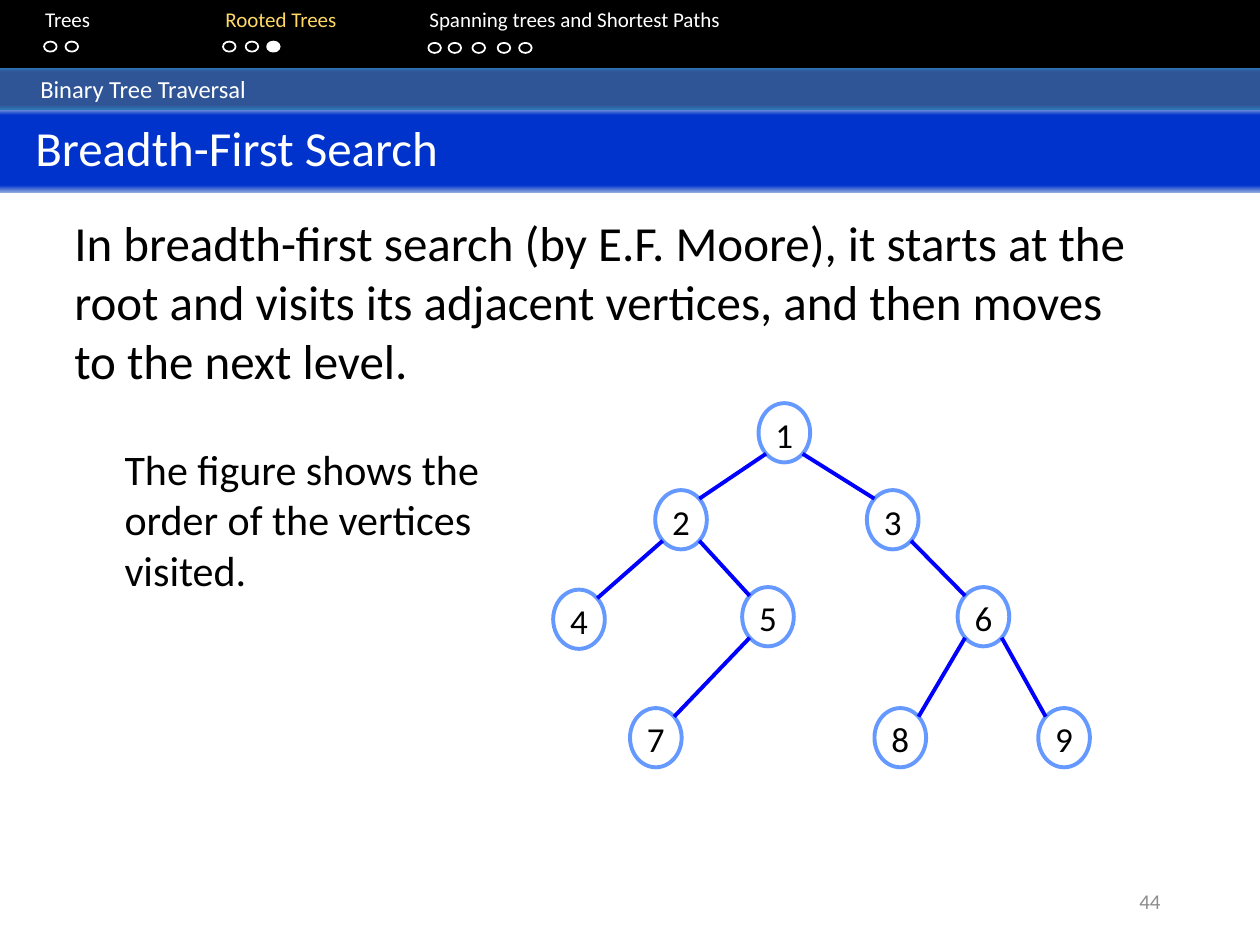
from lxml.etree import SubElement
from pptx import Presentation
from pptx.dml.color import RGBColor
from pptx.enum.shapes import MSO_CONNECTOR as Connector, MSO_SHAPE as Shape
from pptx.enum.text import MSO_ANCHOR as Anchor, MSO_AUTO_SIZE as AutoSize, PP_ALIGN as Align
from pptx.oxml.ns import qn
from pptx.util import Inches, Pt

WIDTH, HEIGHT = 10, 7.5
WHITE, BLACK, GOLD, GREY = "FFFFFF", "000000", "FFD966", "8C8C8C"
EDGE, RING = "0000FF", "6699FF"
STRIP_STOPS = [(0, "2E75B6"), (11, "2F5597"), (91, "2F5597"), (100, "2E75B6")]
TITLE_STOPS = [(0, "8FAADC"), (9, "0033CC"), (92, "0033CC"), (100, "8FAADC")]

# name, text tab, dot row top, dot lefts, index of the filled dot
SECTIONS = [
    ("Trees", 0.26, 0.33, [0.35, 0.52], None),
    ("Rooted Trees", 1.69, 0.33, [1.77, 1.95, 2.12], 2),
    ("Spanning trees and Shortest Paths", 3.31, 0.34, [3.4, 3.56, 3.75, 3.95, 4.12], None),
]
CURRENT = "Rooted Trees"
DOT_SIZE = (0.1, 0.08)

NODE_SIZE = (0.41, 0.47)
# vertex: left and top measured from the corner of the tree
VERTICES = {
    1: (1.63, 0), 2: (0.81, 0.69), 3: (2.49, 0.69),
    4: (0, 1.48), 5: (1.5, 1.46), 6: (3.21, 1.46),
    7: (0.61, 2.42), 8: (2.55, 2.42), 9: (3.85, 2.42),
}
CHILDREN = {1: (2, 3), 2: (4, 5), 3: (6,), 5: (7,), 6: (8, 9)}


def inches(values):
    return [Inches(value) for value in values]


def colour(hex_text):
    return RGBColor.from_string(hex_text)


def set_all(target, values):
    for name, value in values.items():
        setattr(target, name, value)


def place(shape, box):
    set_all(shape, dict(zip(("left", "top", "width", "height"), inches(box))))


def paint(shape, fill=None, line=None, weight=1):
    shape.shadow.inherit = False
    if fill:
        shape.fill.solid()
        shape.fill.fore_color.rgb = colour(fill)
    else:
        shape.fill.background()
    if line:
        shape.line.color.rgb = colour(line)
        shape.line.width = Pt(weight)
    else:
        shape.line.fill.background()


def paint_gradient(shape, stops):
    """Fill from top to bottom with any number of colour stops."""
    shape.fill.gradient()
    shape.fill.gradient_angle = 90
    stop_list = shape.fill._fill._gradFill.find(qn("a:gsLst"))
    for old in list(stop_list):
        stop_list.remove(old)
    for percent, value in stops:
        stop = SubElement(stop_list, qn("a:gs"), pos=str(percent * 1000))
        SubElement(stop, qn("a:srgbClr"), val=value)


def add_span(para, text, size, hex_text):
    span = para.add_run()
    span.text = text
    set_all(span.font, {"name": "Calibri", "size": Pt(size)})
    span.font.color.rgb = colour(hex_text)


def write(shape, text, size, hex_text, align=Align.LEFT, anchor=Anchor.TOP, after=0, **insets):
    frame = shape.text_frame
    set_all(frame, {"word_wrap": True, "auto_size": AutoSize.NONE, "vertical_anchor": anchor})
    set_all(frame, {f"margin_{side}": Inches(value) for side, value in insets.items()})
    para = frame.paragraphs[0]
    set_all(para, {"alignment": align, "space_before": Pt(0), "space_after": Pt(after)})
    add_span(para, text, size, hex_text)
    return para


def add_text(page, box, *args, **options):
    return write(page.shapes.add_textbox(*inches(box)), *args, **options)


def add_navigation(page, box):
    bar = page.shapes.add_shape(Shape.RECTANGLE, *inches(box))
    paint(bar, BLACK)
    labels = page.shapes.add_textbox(*inches((0, 0, box[2], 0.5)))
    para = labels.text_frame.paragraphs[0]
    tabs = SubElement(para._p.get_or_add_pPr(), qn("a:tabLst"))
    for name, tab, top, lefts, filled in SECTIONS:
        SubElement(tabs, qn("a:tab"), pos=str(Inches(tab)), algn="l")
        add_span(para, "\t" + name, 12, GOLD if name == CURRENT else WHITE)
        for index, left in enumerate(lefts):
            dot = page.shapes.add_shape(Shape.OVAL, *inches((left, top, *DOT_SIZE)))
            paint(dot, WHITE if index == filled else None, WHITE)


def add_subject_strip(page, box, text):
    strip = page.shapes.add_shape(Shape.RECTANGLE, *inches(box))
    paint(strip)
    paint_gradient(strip, STRIP_STOPS)
    write(strip, text, 14, WHITE, anchor=Anchor.MIDDLE, left=0.32)


def fill_title(page, box, text):
    title = page.shapes.title
    place(title, box)
    paint_gradient(title, TITLE_STOPS)
    write(title, text, 28, WHITE, anchor=Anchor.MIDDLE, left=0.28, top=0, bottom=0.05)


def fill_body(page, box, text):
    body = page.placeholders[1]
    place(body, box)
    para = write(body, text, 28, BLACK, after=6)
    properties = para._p.get_or_add_pPr()
    properties.set("marL", "0")
    properties.set("indent", "0")
    SubElement(properties, qn("a:buNone"))


def add_edge(tree, parent, child):
    """Join the lower diagonal of the parent to the facing upper diagonal of the child."""
    side = 1 if child[0] > parent[0] else -1
    reach_x, reach_y = (size / 2 * 0.71 for size in NODE_SIZE)
    ends = (parent[0] + side * reach_x, parent[1] + reach_y,
            child[0] - side * reach_x, child[1] - reach_y)
    edge = tree.shapes.add_connector(Connector.STRAIGHT, *inches(ends))
    edge.line.color.rgb = colour(EDGE)
    edge.line.width = Pt(2.25)
    SubElement(edge._element.spPr, qn("a:effectLst"))


def add_tree(page, left, top):
    tree = page.shapes.add_group_shape()
    width, height = NODE_SIZE
    centres = {}
    for number, (x, y) in VERTICES.items():
        centres[number] = (left + x + width / 2, top + y + height / 2)
        node = tree.shapes.add_shape(Shape.OVAL, *inches((left + x, top + y, width, height)))
        paint(node, None, RING, 2.25)
        write(node, str(number), 20, BLACK, Align.CENTER, Anchor.MIDDLE,
              left=0, right=0, top=0.02, bottom=0)
    for parent, children in CHILDREN.items():
        for child in children:
            add_edge(tree, centres[parent], centres[child])


def main():
    deck = Presentation()
    set_all(deck, {"slide_width": Inches(WIDTH), "slide_height": Inches(HEIGHT)})
    page = deck.slides.add_slide(deck.slide_layouts[1])
    add_navigation(page, (0, -0.02, WIDTH, 0.56))
    add_subject_strip(page, (0, 0.54, WIDTH, 0.33), "Binary Tree Traversal")
    fill_title(page, (0, 0.86, WIDTH, 0.67), "Breadth-First Search")
    fill_body(page, (0.49, 1.64, 8.74, 1.51),
              "In breadth-first search (by E.F. Moore), it starts at the root and visits "
              "its adjacent vertices, and then moves to the next level.")
    add_tree(page, 4.39, 3.2)
    add_text(page, (0.89, 3.47, 3.16, 1.31),
             "The figure shows the order of the vertices visited.", 24, BLACK, after=6)
    add_text(page, (7.06, 6.95, 2.25, 0.4), "44", 12, GREY, Align.RIGHT, Anchor.MIDDLE)
    deck.save("out.pptx")


if __name__ == "__main__":
    main()
